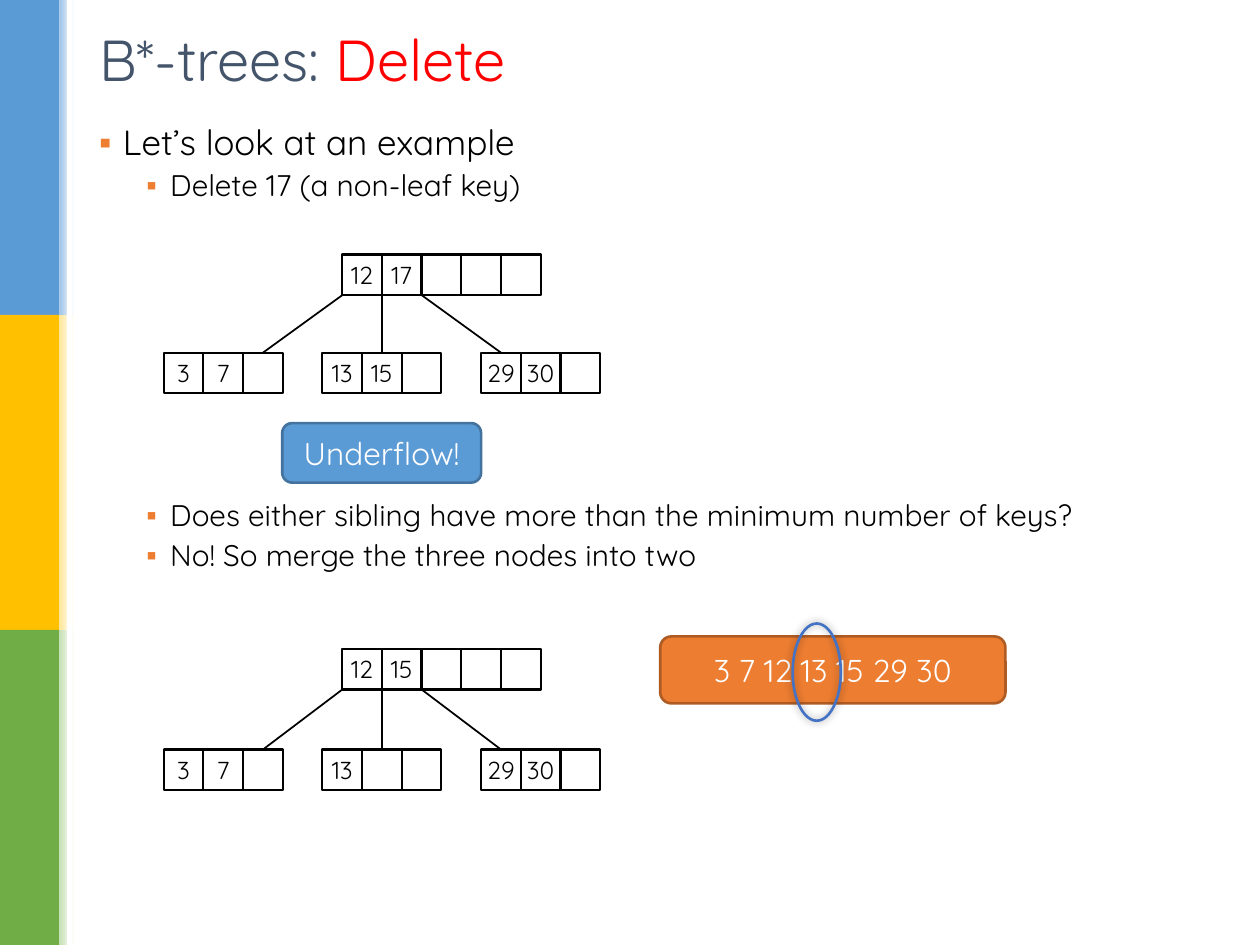
from lxml import etree
from pptx import Presentation
from pptx.dml.color import RGBColor
from pptx.enum.shapes import MSO_CONNECTOR, MSO_SHAPE
from pptx.enum.text import MSO_ANCHOR, PP_ALIGN
from pptx.oxml.ns import qn
from pptx.util import Cm, Pt

RECT = MSO_SHAPE.RECTANGLE
ROUND = MSO_SHAPE.ROUNDED_RECTANGLE
OVAL = MSO_SHAPE.OVAL
LINE = MSO_CONNECTOR.STRAIGHT
MIDDLE = MSO_ANCHOR.MIDDLE
CENTER = PP_ALIGN.CENTER

FONT = "Quicksand"
BLACK = RGBColor(0x00, 0x00, 0x00)
WHITE = RGBColor(0xFF, 0xFF, 0xFF)
SLATE = RGBColor(0x44, 0x54, 0x6A)
RED = RGBColor(0xFF, 0x00, 0x00)
BLUE = RGBColor(0x5B, 0x9B, 0xD5)
NAVY = RGBColor(0x43, 0x73, 0x9E)
RING = RGBColor(0x44, 0x72, 0xC4)
ORANGE = RGBColor(0xED, 0x7D, 0x31)
BROWN = RGBColor(0xAF, 0x5C, 0x24)
GOLD = RGBColor(0xFF, 0xC0, 0x00)
GREEN = RGBColor(0x70, 0xAD, 0x47)
PALE_BLUE = RGBColor(0x9D, 0xC3, 0xE6)
PALE_GOLD = RGBColor(0xFF, 0xE6, 0x99)
PALE_GREEN = RGBColor(0xC5, 0xE0, 0xB4)

BANDS = [(BLUE, PALE_BLUE), (GOLD, PALE_GOLD), (GREEN, PALE_GREEN)]
BAND_H = 6.35
CELL_W, CELL_H = 0.8, 0.82
ROOT_X, LEAF_X = 6.9, 3.3
ROOT_LEN, LEAF_LEN = 5, 3
LEAF_GAP = 3.2


def add_run(para, text, size, color):
    run = para.add_run()
    run.text = text
    run.font.name = FONT
    run.font.size = Pt(size)
    run.font.color.rgb = color


def add_shape(slide, kind, x, y, w, h, fill=None, edge=None, width=1.5):
    shape = slide.shapes.add_shape(kind, Cm(x), Cm(y), Cm(w), Cm(h))
    shape.shadow.inherit = False
    if fill is None:
        shape.fill.background()
    else:
        shape.fill.solid()
        shape.fill.fore_color.rgb = fill
    if edge is None:
        shape.line.fill.background()
    else:
        shape.line.color.rgb = edge
        shape.line.width = Pt(width)
    return shape


def add_label(shape, text, size, color):
    frame = shape.text_frame
    frame.vertical_anchor = MIDDLE
    frame.margin_left = frame.margin_right = 0
    para = frame.paragraphs[0]
    para.alignment = CENTER
    add_run(para, text, size, color)


def add_box(slide, x, y, w, h):
    frame = slide.shapes.add_textbox(Cm(x), Cm(y), Cm(w), Cm(h)).text_frame
    frame.word_wrap = True
    return frame


def add_bullet(para, indent):
    props = para._p.get_or_add_pPr()
    props.set("marL", str(Cm(indent)))
    props.set("indent", str(-Cm(0.48)))
    color = etree.SubElement(props, qn("a:buClr"))
    etree.SubElement(color, qn("a:srgbClr"), val=str(ORANGE))
    etree.SubElement(props, qn("a:buFont"), typeface="Arial")
    etree.SubElement(props, qn("a:buChar"), char="\u25aa")


def add_list(slide, y, h, items):
    frame = add_box(slide, 1.75, y, 22.66, h)
    for i, (text, level) in enumerate(items):
        para = frame.add_paragraph() if i else frame.paragraphs[0]
        para.line_spacing = 0.9
        para.space_before = Pt(4.3 if i else 0)
        add_bullet(para, 1.43 if level else 0.48)
        para.level = level
        add_run(para, text, 17 if level else 20, BLACK)


def add_line(slide, x1, y1, x2, y2):
    line = slide.shapes.add_connector(LINE, Cm(x1), Cm(y1), Cm(x2), Cm(y2))
    line.line.color.rgb = BLACK
    line.line.width = Pt(1)
    etree.SubElement(line._element.spPr, qn("a:effectLst"))


def add_node(slide, x, y, count, keys):
    for i in range(count):
        cell = add_shape(slide, RECT, x + i * CELL_W, y, CELL_W, CELL_H,
                         edge=BLACK, width=1.25)
        if i < len(keys):
            add_label(cell, keys[i], 14, BLACK)


def add_tree(slide, root_y, leaf_y, root, leaves):
    add_node(slide, ROOT_X, root_y, ROOT_LEN, root)
    for i, keys in enumerate(leaves):
        leaf = LEAF_X + i * LEAF_GAP
        end = leaf + (2.5 - i) * CELL_W
        add_line(slide, ROOT_X + i * CELL_W, root_y + CELL_H, end, leaf_y)
        add_node(slide, leaf, leaf_y, LEAF_LEN, keys)


def add_side(slide):
    for i, (color, pale) in enumerate(BANDS):
        y = i * BAND_H
        add_shape(slide, RECT, 0, y, 1.2, BAND_H, color)
        fade = add_shape(slide, RECT, 1.2, y, 0.3, BAND_H)
        fade.fill.gradient()
        fade.fill.gradient_angle = 0
        for stop, tone in zip(fade.fill.gradient_stops, (pale, WHITE)):
            stop.color.rgb = tone
    add_shape(slide, RECT, 1.35, 0, 0.1, 3 * BAND_H, WHITE)


def add_title(slide):
    frame = add_box(slide, 1.75, 0.41, 21.9, 1.73)
    frame.vertical_anchor = MIDDLE
    para = frame.paragraphs[0]
    para.line_spacing = 0.9
    add_run(para, "B*-trees: ", 33, SLATE)
    add_run(para, "Delete", 33, RED)


def add_ring(slide):
    ring = add_shape(slide, OVAL, 15.98, 12.57, 0.97, 1.96, edge=RING)
    glow = ring._element.spPr.find(qn("a:effectLst"))
    shade = etree.SubElement(glow, qn("a:outerShdw"), blurRad=str(Pt(5)),
                             dist="0", dir="0", rotWithShape="0")
    color = etree.SubElement(shade, qn("a:srgbClr"), val=str(BLACK))
    etree.SubElement(color, qn("a:alpha"), val="40000")


def main():
    deck = Presentation()
    deck.slide_width, deck.slide_height = Cm(25.4), Cm(19.05)
    slide = deck.slides.add_slide(deck.slide_layouts[6])
    add_side(slide)
    add_title(slide)
    add_list(slide, 2.41, 2, [("Let\u2019s look at an example", 0),
                              ("Delete 17 (a non-leaf key)", 1)])
    add_list(slide, 9.97, 1.9, [
        ("Does either sibling have more than the minimum number of keys?", 1),
        ("No! So merge the three nodes into two", 1)])
    add_tree(slide, 5.13, 7.11, ["12", "17"],
             [["3", "7"], ["13", "15"], ["29", "30"]])
    add_tree(slide, 13.08, 15.11, ["12", "15"],
             [["3", "7"], ["13"], ["29", "30"]])
    alert = add_shape(slide, ROUND, 5.69, 8.53, 4.01, 1.2, BLUE, NAVY)
    add_label(alert, "Underflow!", 18, WHITE)
    merge = add_shape(slide, ROUND, 13.31, 12.83, 6.96, 1.35, ORANGE, BROWN)
    add_label(merge, "3 7 12 13 15 29 30", 18, WHITE)
    add_ring(slide)
    deck.save("out.pptx")


main()
